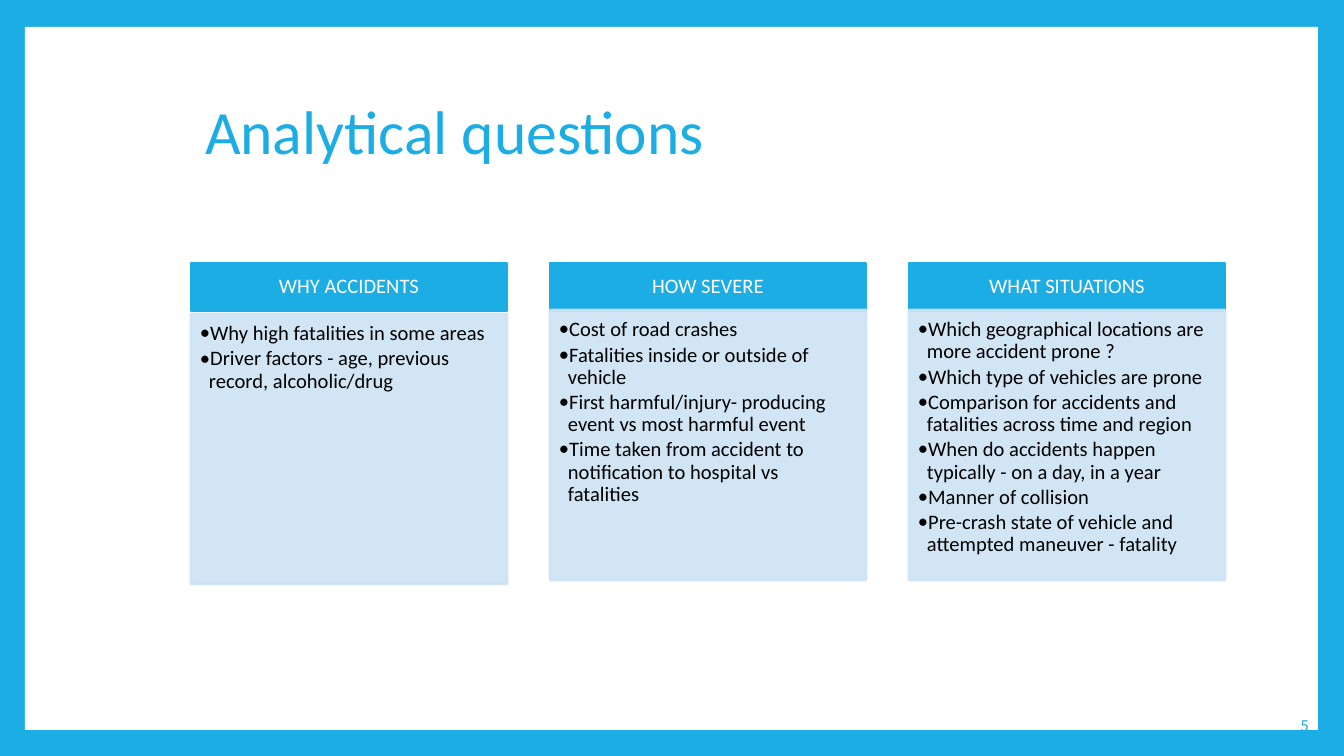
from lxml.etree import SubElement
from pptx import Presentation
from pptx.dml.color import RGBColor
from pptx.enum.shapes import MSO_SHAPE
from pptx.enum.text import MSO_ANCHOR, MSO_AUTO_SIZE, PP_ALIGN
from pptx.oxml.ns import qn
from pptx.util import Pt

TITLE = "Analytical questions"
PAGE_NUMBER = "5"
# heading, top of the question panel in px, questions
COLUMNS = [
    ("WHY ACCIDENTS", 314, [
        "Why high fatalities in some areas",
        "Driver factors - age, previous record, alcoholic/drug",
    ]),
    ("HOW SEVERE", 310, [
        "Cost of road crashes",
        "Fatalities inside or outside of vehicle",
        "First harmful/injury- producing event vs most harmful event",
        "Time taken from accident to notification to hospital vs fatalities",
    ]),
    ("WHAT SITUATIONS", 310, [
        "Which geographical locations are more accident prone ?",
        "Which type of vehicles are prone",
        "Comparison for accidents and fatalities across time and region",
        "When do accidents happen typically - on a day, in a year",
        "Manner of collision",
        "Pre-crash state of vehicle and attempted maneuver - fatality",
    ]),
]

BLUE = RGBColor(0x1C, 0xAD, 0xE4)
PALE_BLUE = RGBColor(0xCD, 0xE3, 0xF5)
WHITE = RGBColor(0xFF, 0xFF, 0xFF)
BLACK = RGBColor(0x00, 0x00, 0x00)
FONT = "Calibri"

SLIDE_W, SLIDE_H = 1344, 756
COLUMN_LEFT, COLUMN_W, COLUMN_STEP = 191, 316, 359
HEADING_TOP, HEADING_H, PANEL_H = 263, 48, 270
BULLET_INDENT = 9


def px(length):
    return round(length * 914400 / 134.4)


def place(shape, left, top, width, height):
    box = {"left": left, "top": top, "width": width, "height": height}
    for side, length in box.items():
        setattr(shape, side, px(length))


def add_box(slide, box, fill, line=None, opacity=100):
    shape = slide.shapes.add_shape(MSO_SHAPE.RECTANGLE, *map(px, box))
    shape.shadow.inherit = False
    shape.fill.solid()
    shape.fill.fore_color.rgb = fill
    if line is None:
        shape.line.fill.background()
    else:
        shape.line.color.rgb = line
        shape.line.width = Pt(1.5)
    if opacity < 100:
        for color in shape._element.spPr.iter(qn("a:srgbClr")):
            SubElement(color, qn("a:alpha"), val=str(opacity * 1000))
    return shape


def set_frame(shape, insets, anchor=MSO_ANCHOR.TOP):
    """Insets are left, top, right and bottom in px."""
    frame = shape.text_frame
    frame.word_wrap = True
    frame.auto_size = MSO_AUTO_SIZE.NONE
    frame.vertical_anchor = anchor
    for side, inset in zip(("left", "top", "right", "bottom"), insets):
        setattr(frame, f"margin_{side}", px(inset))
    return frame


def write(paragraph, text, size, color, bullet=False, **paragraph_format):
    paragraph.text = text
    if bullet:
        properties = paragraph._p.get_or_add_pPr()
        properties.set("marL", str(px(BULLET_INDENT)))
        properties.set("indent", str(-px(BULLET_INDENT)))
        SubElement(properties, qn("a:buFont"), typeface=FONT)
        SubElement(properties, qn("a:buChar"), char="•")
    for name, value in paragraph_format.items():
        setattr(paragraph, name, value)
    font = paragraph.runs[0].font
    font.name, font.size = FONT, Pt(size)
    font.color.rgb = color


def add_column(slide, left, heading, panel_top, questions):
    heading_box = add_box(slide, (left, HEADING_TOP, COLUMN_W, HEADING_H), BLUE, BLUE)
    frame = set_frame(heading_box, (12, 7, 12, 7), MSO_ANCHOR.MIDDLE)
    write(frame.paragraphs[0], heading, 11, WHITE,
          alignment=PP_ALIGN.CENTER, line_spacing=0.9)

    panel = add_box(slide, (left, panel_top, COLUMN_W, PANEL_H),
                    PALE_BLUE, PALE_BLUE, opacity=90)
    frame = set_frame(panel, (9, 9, 13, 13))
    for i, question in enumerate(questions):
        paragraph = frame.add_paragraph() if i else frame.paragraphs[0]
        write(paragraph, question, 11, BLACK, bullet=True,
              alignment=PP_ALIGN.LEFT, line_spacing=0.9, space_after=Pt(1.65))


def main():
    deck = Presentation()
    deck.slide_width, deck.slide_height = px(SLIDE_W), px(SLIDE_H)
    slide = deck.slides.add_slide(deck.slide_layouts[5])
    slide.background.fill.solid()
    slide.background.fill.fore_color.rgb = BLUE

    page = add_box(slide, (25, 27, 1293, 703), WHITE)
    title = slide.shapes.title
    title._element.addprevious(page._element)
    place(title, 192, 88, 1034, 147)
    frame = set_frame(title, (13, 13, 13, 13))
    write(frame.paragraphs[0], TITLE, 33, BLUE,
          alignment=PP_ALIGN.LEFT, line_spacing=0.9)

    for i, column in enumerate(COLUMNS):
        add_column(slide, COLUMN_LEFT + i * COLUMN_STEP, *column)

    number = slide.shapes.add_textbox(*map(px, (1242, 696, 80, 58)))
    frame = set_frame(number, (13, 13, 13, 13), MSO_ANCHOR.MIDDLE)
    write(frame.paragraphs[0], PAGE_NUMBER, 9, BLUE, alignment=PP_ALIGN.RIGHT)

    deck.save("out.pptx")


if __name__ == "__main__":
    main()
